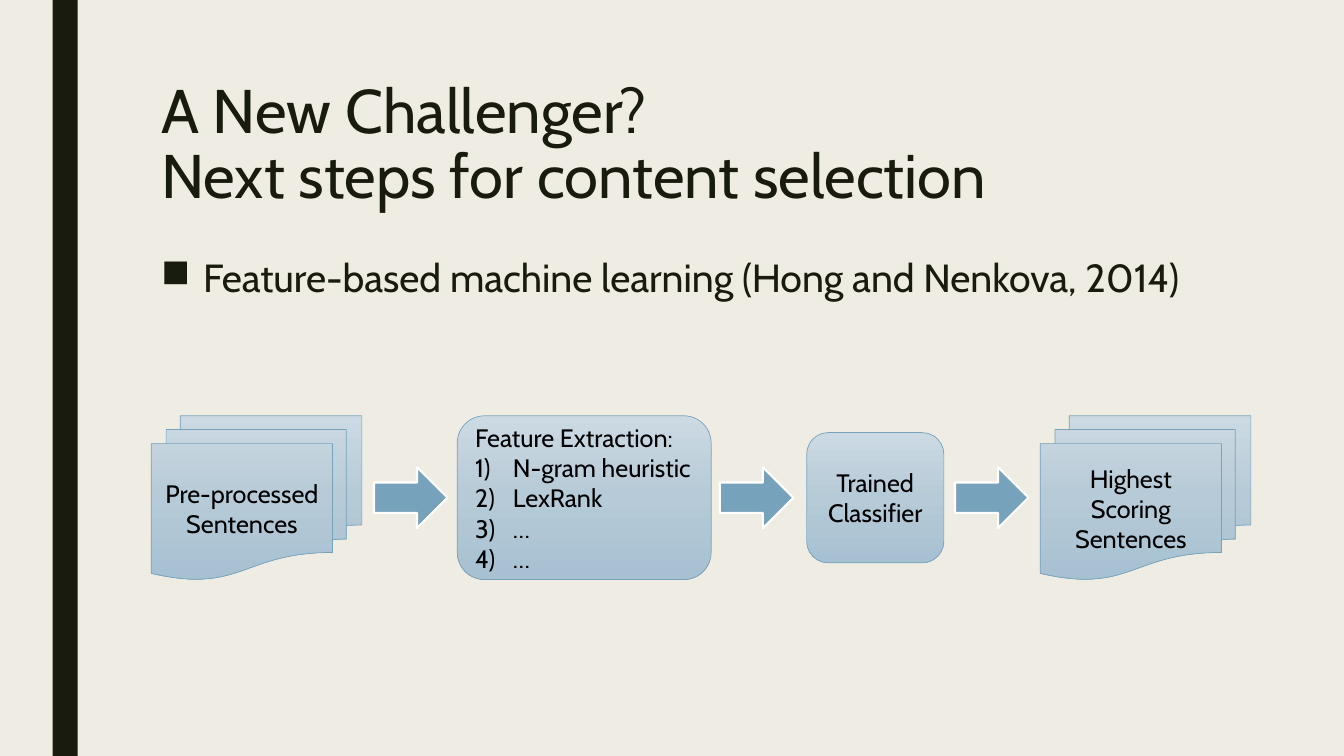
from copy import deepcopy

from lxml import etree
from pptx import Presentation
from pptx.dml.color import RGBColor
from pptx.enum import shapes, text
from pptx.oxml.ns import qn
from pptx.util import Pt

FONT = "Cabin"
INK, STEEL, WHITE, BLACK = "191B0E", "77A2BB", "FFFFFF", "000000"
BACKGROUND = "EFEDE3"
GRADIENT = ((0, "CCDAE3"), (0.5, "B6CAD7"), (1, "A7C1D2"))
FLOW_MIDDLE = 355.5
KIND = shapes.MSO_SHAPE


def color(value):
    return RGBColor.from_string(value)


def set_font(paragraph, size, value):
    paragraph.font.name = FONT
    paragraph.font.size = Pt(size)
    paragraph.font.color.rgb = color(value)


def add_bullet(paragraph, indent, tag, **attributes):
    properties = paragraph._p.get_or_add_pPr()
    properties.set("marL", str(Pt(indent)))
    properties.set("indent", str(-Pt(indent)))
    bullet = etree.SubElement(properties, qn(tag))
    for name, value in attributes.items():
        bullet.set(name, value)


def add_text(slide, left, top, width, height, content, size, spacing):
    box = slide.shapes.add_textbox(Pt(left), Pt(top), Pt(width), Pt(height))
    box.text_frame.word_wrap = True
    paragraph = box.text_frame.paragraphs[0]
    paragraph.text = content
    paragraph.line_spacing = spacing
    set_font(paragraph, size, INK)
    return paragraph


def add_shape(slide, kind, left, top, width, height):
    shape = slide.shapes.add_shape(kind, Pt(left), Pt(top), Pt(width), Pt(height))
    shape.shadow.inherit = False
    return shape


def fill_gradient(shape):
    shape.fill.gradient()
    shape.fill.gradient_angle = 270
    stop_list = shape._element.spPr.find(".//" + qn("a:gsLst"))
    stop_list.insert(1, deepcopy(stop_list[0]))
    for stop, (position, value) in zip(shape.fill.gradient_stops, GRADIENT):
        stop.position = position
        stop.color.rgb = color(value)


def add_step(slide, kind, left, width, height, lines, align=text.PP_ALIGN.CENTER):
    """Add a gradient step centred on the flow's middle line."""
    shape = add_shape(slide, kind, left, FLOW_MIDDLE - height / 2, width, height)
    fill_gradient(shape)
    shape.line.color.rgb = color(STEEL)
    shape.line.width = Pt(0.5)
    frame = shape.text_frame
    frame.word_wrap = True
    frame.vertical_anchor = text.MSO_ANCHOR.MIDDLE
    frame.text = "\n".join(lines)
    for paragraph in frame.paragraphs:
        paragraph.alignment = align
        set_font(paragraph, 18, BLACK)
    return frame.paragraphs


def add_arrow(slide, left):
    width, height = 52.5, 43.5
    arrow = add_shape(slide, KIND.RIGHT_ARROW, left, FLOW_MIDDLE - height / 2, width, height)
    arrow.fill.solid()
    arrow.fill.fore_color.rgb = color(STEEL)
    arrow.line.color.rgb = color(WHITE)
    arrow.line.width = Pt(1.5)


def main():
    presentation = Presentation()
    presentation.slide_width, presentation.slide_height = Pt(960), Pt(540)
    slide = presentation.slides.add_slide(presentation.slide_layouts[6])
    slide.background.fill.solid()
    slide.background.fill.fore_color.rgb = color(BACKGROUND)

    # Side bar
    bar = add_shape(slide, KIND.RECTANGLE, 37.5, 0, 18, 540)
    bar.fill.solid()
    bar.fill.fore_color.rgb = color(INK)
    bar.line.fill.background()

    # Title and main point
    add_text(slide, 108, 54, 756, 117,
             "A New Challenger?\vNext steps for content selection", 44, 0.89)
    point = add_text(slide, 108, 180, 790, 54,
                     "Feature-based machine learning (Hong and Nenkova, 2014)", 28, 0.94)
    point.space_before, point.space_after = Pt(10), Pt(2)
    add_bullet(point, 30, "a:buChar", char="■")

    # Steps of the flow
    add_step(slide, KIND.FLOWCHART_MULTIDOCUMENT, 108, 150.5, 117,
             ["Pre-processed Sentences"])
    features = add_step(slide, KIND.ROUNDED_RECTANGLE, 326.6, 181.4, 117,
                        ["Feature Extraction:", "N-gram heuristic", "LexRank", "…", "…"],
                        text.PP_ALIGN.LEFT)
    for feature in features[1:]:
        add_bullet(feature, 27, "a:buAutoNum", type="arabicParenR")
    add_step(slide, KIND.ROUNDED_RECTANGLE, 576.2, 98, 93, ["Trained", "Classifier"])
    add_step(slide, KIND.FLOWCHART_MULTIDOCUMENT, 743, 150.5, 117,
             ["Highest Scoring Sentences"])

    # Arrows between the steps
    for left in (267.2, 514.2, 682.2):
        add_arrow(slide, left)

    presentation.save("out.pptx")


if __name__ == "__main__":
    main()
